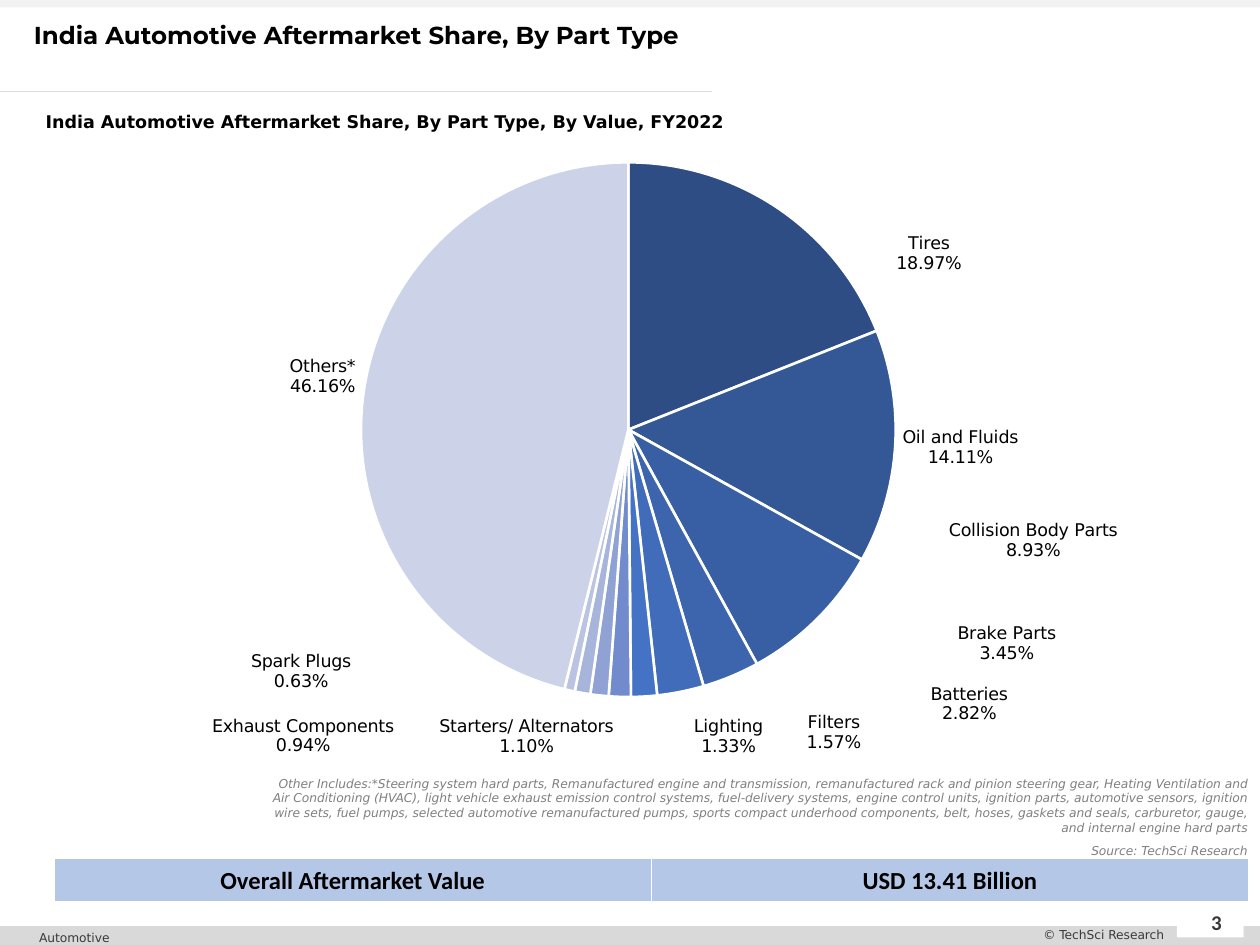
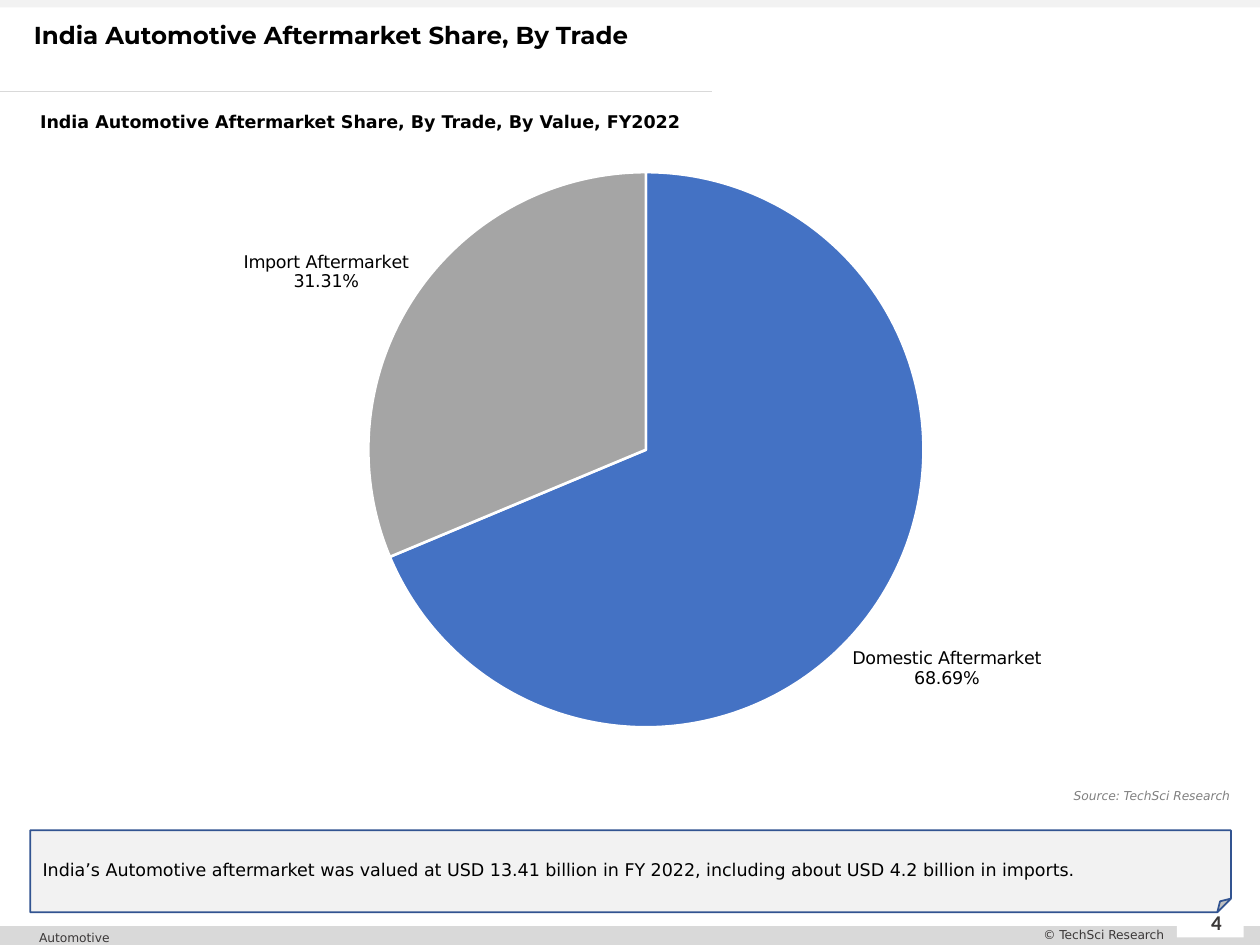
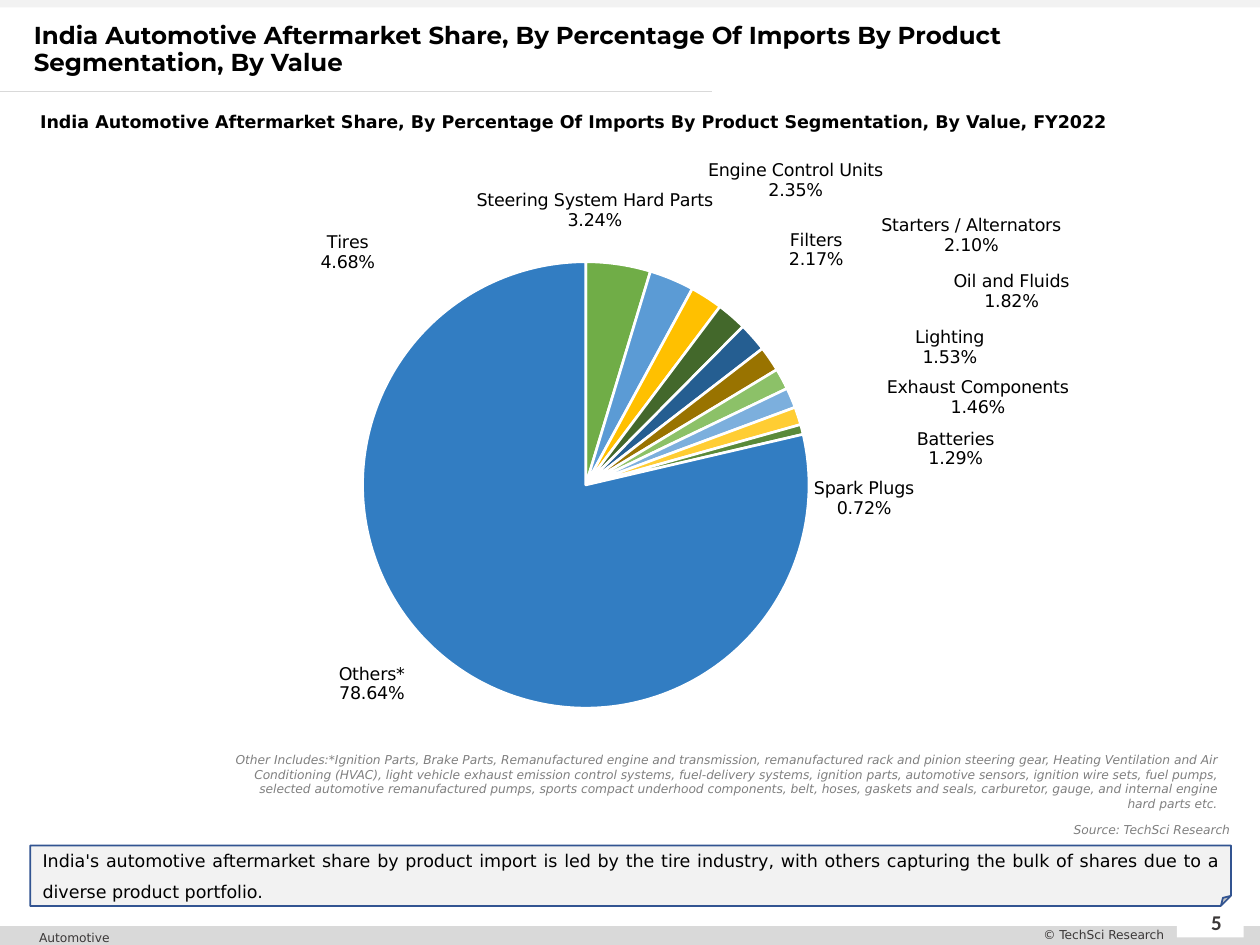
import copy
from dataclasses import dataclass

import lxml.etree
import pptx
import pptx.chart.data
import pptx.dml.color
import pptx.enum.chart
import pptx.enum.shapes
import pptx.enum.text
import pptx.oxml
import pptx.oxml.ns
import pptx.util

ALIGN = pptx.enum.text.PP_ALIGN
ANCHOR = pptx.enum.text.MSO_ANCHOR
SHAPE = pptx.enum.shapes.MSO_SHAPE
qn = pptx.oxml.ns.qn


@dataclass(frozen=True)
class Theme:
    heading_font: str = "Montserrat"
    body_font: str = "DejaVu Sans"
    number_font: str = "Calibri"
    title_size: int = 14
    number_size: int = 12
    body_size: int = 10
    small_size: int = 7
    black: str = "000000"
    white: str = "FFFFFF"
    note_grey: str = "808080"
    footer_text: str = "3B3838"
    band: str = "D9D9D9"
    pale: str = "F2F2F2"
    callout_line: str = "325491"
    table_fill: str = "B4C7E7"


THEME = Theme()

# The slide is a grid of 100 columns by 75 rows
SLIDE_WIDTH, SLIDE_HEIGHT = pptx.util.Inches(10), pptx.util.Inches(7.5)
COLUMNS, ROWS = 100, 75

SOURCE = "Source: TechSci Research"

PART_SHARES = [
    ("Tires", 18.97), ("Oil and Fluids", 14.11), ("Collision Body Parts", 8.93),
    ("Brake Parts", 3.45), ("Batteries", 2.82), ("Filters", 1.57),
    ("Lighting", 1.33), ("Starters/ Alternators", 1.1),
    ("Exhaust Components", 0.94), ("Spark Plugs", 0.63), ("Others*", 46.16),
]
PART_COLOURS = ["2E4D85", "345795", "385FA3", "3C65AE", "406CB9", "4472C4",
                "718BCC", "90A2D3", "A8B5DB", "BAC4E2", "CCD3E9"]
# Label moves are percentages of the chart's width and height
PART_LABEL_MOVES = {
    0: (11.5, 11.2), 2: (12.8, -16.3), 3: (22.6, -9.4), 4: (25.1, -2.3),
    5: (19.1, 1.4), 6: (11, 2), 7: (1.5, 2.2), 8: (-18.9, 2.5), 9: (-21.9, -7.2),
}

TRADE_SHARES = [("Domestic Aftermarket", 68.69), ("Import Aftermarket", 31.31)]
TRADE_COLOURS = ["4472C4", "A5A5A5"]
TRADE_LABEL_MOVES = {0: (-3, 6.1)}

IMPORT_SHARES = [
    ("Tires", 4.68), ("Steering System Hard Parts", 3.24),
    ("Engine Control Units", 2.35), ("Filters", 2.17),
    ("Starters / Alternators", 2.1), ("Oil and Fluids", 1.82),
    ("Lighting", 1.53), ("Exhaust Components", 1.46), ("Batteries", 1.29),
    ("Spark Plugs", 0.72), ("Others*", 78.64),
]
IMPORT_COLOURS = ["70AD47", "5B9BD5", "FFC000", "43682B", "255E91", "997300",
                  "8CC168", "7CAFDD", "FFCD33", "5A8A39", "327DC2"]
IMPORT_LABEL_MOVES = {
    0: (-24.6, 2.6), 1: (-16.3, -7), 2: (-0.2, -15.1), 3: (4.3, -6.8),
    4: (10.1, -12.9), 5: (14.6, -7.3), 6: (10.4, -1.4), 7: (7.3, 3.7),
    8: (9.2, 9.2), 9: (0.4, 15.2), 10: (-3.1, -0.2),
}

PART_NOTE = (
    "Other Includes:*Steering system hard parts, Remanufactured engine and "
    "transmission, remanufactured rack and pinion steering gear, Heating "
    "Ventilation and Air Conditioning (HVAC), light vehicle exhaust emission "
    "control systems, fuel-delivery systems, engine control units, ignition "
    "parts, automotive sensors, ignition wire sets, fuel pumps, selected "
    "automotive remanufactured pumps, sports compact underhood components, "
    "belt, hoses, gaskets and seals, carburetor, gauge, and internal engine "
    "hard parts")
IMPORT_NOTE = (
    "Other Includes:*Ignition Parts, Brake Parts, Remanufactured engine and "
    "transmission, remanufactured rack and pinion steering gear, Heating "
    "Ventilation and Air Conditioning (HVAC), light vehicle exhaust emission "
    "control systems, fuel-delivery systems, ignition parts, automotive "
    "sensors, ignition wire sets, fuel pumps, selected automotive "
    "remanufactured pumps, sports compact underhood components, belt, hoses, "
    "gaskets and seals, carburetor, gauge, and internal engine hard parts etc.")


# Basic helpers
def rgb(colour):
    return pptx.dml.color.RGBColor.from_string(colour)


def across(columns):
    return round(SLIDE_WIDTH * columns / COLUMNS)


def down(rows):
    return round(SLIDE_HEIGHT * rows / ROWS)


def place(left, top, width, height):
    return across(left), down(top), across(width), down(height)


def style_font(font, size, name=THEME.body_font, colour=THEME.black,
               bold=False, italic=False):
    font.size = pptx.util.Pt(size)
    font.name = name
    font.color.rgb = rgb(colour)
    font.bold = bold
    font.italic = italic


def write(frame, text, size, align=ALIGN.LEFT, spacing=None, **font):
    paragraph = frame.paragraphs[0]
    paragraph.alignment = align
    if spacing is not None:
        paragraph.line_spacing = spacing
    run = paragraph.add_run()
    run.text = text
    style_font(run.font, size, **font)


def add_text(slide, area, text, size, **style):
    frame = slide.shapes.add_textbox(*place(*area)).text_frame
    frame.word_wrap = True
    write(frame, text, size, **style)
    return frame


def add_shape(slide, kind, area, fill, line=None):
    shape = slide.shapes.add_shape(kind, *place(*area))
    shape.shadow.inherit = False
    shape.fill.solid()
    shape.fill.fore_color.rgb = rgb(fill)
    if line:
        shape.line.color.rgb = rgb(line)
        shape.line.width = pptx.util.Pt(1)
    else:
        shape.line.fill.background()
    return shape


# Shared frame of every slide
def add_footer_label(slide, area, text, size, **font):
    frame = add_text(slide, area, text, size, align=ALIGN.CENTER,
                     colour=THEME.footer_text, **font)
    frame.margin_left = frame.margin_right = 0
    frame.margin_top = frame.margin_bottom = 0
    frame.vertical_anchor = ANCHOR.MIDDLE


def add_title_rule(slide):
    rule = slide.shapes.add_connector(
        pptx.enum.shapes.MSO_CONNECTOR.STRAIGHT,
        0, down(7.25), across(56.5), down(7.25))
    rule.line.color.rgb = rgb(THEME.band)
    rule.line.width = pptx.util.Pt(0.5)
    properties = rule._element.find(qn("p:spPr"))
    lxml.etree.SubElement(properties, qn("a:effectLst"))


def add_framed_slide(presentation, number, title, subtitle, subtitle_left=2.2):
    slide = presentation.slides.add_slide(presentation.slide_layouts[6])
    add_shape(slide, SHAPE.RECTANGLE, (0, 73.5, 100, 1.5), THEME.band)
    add_shape(slide, SHAPE.RECTANGLE, (0, 0, 100, 0.6), THEME.pale)
    add_shape(slide, SHAPE.RECTANGLE, (93.4, 72.2, 5.3, 2.2), THEME.white)
    add_title_rule(slide)
    add_footer_label(slide, (94.1, 71.2, 4.9, 4), str(number),
                     THEME.number_size, name=THEME.number_font, bold=True)
    add_footer_label(slide, (81.6, 73.4, 12, 1.6), "© TechSci Research",
                     THEME.small_size)
    add_footer_label(slide, (-0.1, 73.6, 12, 1.6), "Automotive",
                     THEME.small_size)
    add_text(slide, (1.7, 1.4, 90.4, 5.7), title, THEME.title_size,
             spacing=0.9, name=THEME.heading_font, bold=True)
    add_text(slide, (subtitle_left, 7.9, 88.6, 2.9), subtitle, THEME.body_size,
             align=ALIGN.JUSTIFY, spacing=pptx.util.Pt(15), bold=True)
    return slide


# Content elements
def add_note(slide, left, top, height, text):
    add_text(slide, (left, top, 80.4, height), text, THEME.small_size,
             align=ALIGN.RIGHT, colour=THEME.note_grey, italic=True)


def add_callout(slide, top, height, text):
    shape = add_shape(slide, SHAPE.FOLDED_CORNER, (2.4, top, 95.3, height),
                      THEME.pale, THEME.callout_line)
    frame = shape.text_frame
    frame.word_wrap = True
    frame.vertical_anchor = ANCHOR.MIDDLE
    write(frame, text, THEME.body_size, align=ALIGN.JUSTIFY, spacing=1.5)


def manual_layout(values):
    layout = pptx.oxml.parse_xml(
        f'<c:layout {pptx.oxml.ns.nsdecls("c")}><c:manualLayout/></c:layout>')
    for tag, value in values.items():
        lxml.etree.SubElement(layout[0], qn(f"c:{tag}"), val=str(value))
    return layout


def set_plot_area(chart, left, top, width, height):
    plot_area = chart._chartSpace.find(".//" + qn("c:plotArea"))
    for layout in plot_area.findall(qn("c:layout")):
        plot_area.remove(layout)
    plot_area.insert(0, manual_layout({
        "layoutTarget": "inner", "xMode": "edge", "yMode": "edge",
        "x": left / 100, "y": top / 100, "w": width / 100, "h": height / 100}))


def move_labels(labels, moves):
    shared = [child for child in labels if child.tag != qn("c:showLeaderLines")]
    for position, (index, (right, below)) in enumerate(moves.items()):
        label = labels.makeelement(qn("c:dLbl"))
        lxml.etree.SubElement(label, qn("c:idx"), val=str(index))
        label.append(manual_layout({"x": right / 100, "y": below / 100}))
        label.extend(copy.deepcopy(child) for child in shared)
        labels.insert(position, label)


def style_labels(plot, moves):
    plot.has_data_labels = True
    labels = plot.series[0].data_labels
    labels.show_value = False
    labels.show_category_name = True
    labels.show_percentage = True
    labels.number_format = "0.00%"
    labels.number_format_is_linked = False
    labels.position = pptx.enum.chart.XL_LABEL_POSITION.OUTSIDE_END
    style_font(labels.font, THEME.body_size)
    element = labels._element
    for leader in element.findall(qn("c:showLeaderLines")):
        element.remove(leader)
    lxml.etree.SubElement(element, qn("c:separator")).text = "\n"
    lxml.etree.SubElement(element, qn("c:showLeaderLines"), val="0")
    move_labels(element, moves)


def add_pie(slide, area, plot_area, shares, colours, moves):
    data = pptx.chart.data.CategoryChartData(number_format="General")
    data.categories = [name for name, _ in shares]
    data.add_series("Series 1", [value for _, value in shares])
    chart = slide.shapes.add_chart(
        pptx.enum.chart.XL_CHART_TYPE.PIE, *place(*area), data).chart
    chart.has_title = False
    chart.has_legend = False
    style_font(chart.font, THEME.body_size)
    plot = chart.plots[0]
    plot.vary_by_categories = True
    for index, colour in enumerate(colours):
        wedge = plot.series[0].points[index].format
        wedge.fill.solid()
        wedge.fill.fore_color.rgb = rgb(colour)
        wedge.line.color.rgb = rgb(THEME.white)
        wedge.line.width = pptx.util.Pt(1.5)
    style_labels(plot, moves)
    set_plot_area(chart, *plot_area)


def set_cell_borders(cell):
    properties = cell._tc.get_or_add_tcPr()
    widths = {"lnL": 1, "lnR": 1, "lnT": 1, "lnB": 3}
    for position, (tag, points) in enumerate(widths.items()):
        line = properties.makeelement(qn(f"a:{tag}"),
                                      w=str(pptx.util.Pt(points)))
        fill = lxml.etree.SubElement(line, qn("a:solidFill"))
        lxml.etree.SubElement(fill, qn("a:srgbClr"), val=THEME.white)
        properties.insert(position, line)


def add_value_table(slide, area, texts):
    table = slide.shapes.add_table(1, len(texts), *place(*area)).table
    for cell, text in zip(table.rows[0].cells, texts):
        cell.fill.solid()
        cell.fill.fore_color.rgb = rgb(THEME.table_fill)
        cell.vertical_anchor = ANCHOR.MIDDLE
        write(cell.text_frame, text, THEME.title_size, align=ALIGN.CENTER,
              name=THEME.number_font, bold=True)
        set_cell_borders(cell)


# Slides
def add_part_type_slide(presentation):
    slide = add_framed_slide(
        presentation, 3, "India Automotive Aftermarket Share, By Part Type",
        "India Automotive Aftermarket Share, By Part Type, By Value, FY2022",
        subtitle_left=2.65)
    add_pie(slide, (13.4, 10.5, 78.6, 50.5), (19.4, 4.6, 54, 84.3),
            PART_SHARES, PART_COLOURS, PART_LABEL_MOVES)
    add_note(slide, 19.6, 61.1, 6.9, PART_NOTE)
    add_note(slide, 19.6, 66.4, 2.2, SOURCE)
    add_value_table(slide, (4.3, 68.1, 94.8, 3.6),
                    ["Overall Aftermarket Value", "USD 13.41 Billion"])


def add_trade_slide(presentation):
    slide = add_framed_slide(
        presentation, 4, "India Automotive Aftermarket Share, By Trade",
        "India Automotive Aftermarket Share, By Trade, By Value, FY2022")
    add_pie(slide, (13.4, 10.5, 81.6, 53.9), (19.4, 4.6, 54, 84.3),
            TRADE_SHARES, TRADE_COLOURS, TRADE_LABEL_MOVES)
    add_note(slide, 18.2, 62.1, 2.2, SOURCE)
    add_callout(slide, 65.9, 6.5,
                "India’s Automotive aftermarket was valued at USD 13.41 billion "
                "in FY 2022, including about USD 4.2 billion in imports.")


def add_imports_slide(presentation):
    title = ("India Automotive Aftermarket Share, By Percentage Of Imports "
             "By Product Segmentation, By Value")
    slide = add_framed_slide(presentation, 5, title, f"{title}, FY2022")
    add_pie(slide, (2.2, 11.8, 96.5, 47.5), (23.3, 18.9, 45.2, 74.6),
            IMPORT_SHARES, IMPORT_COLOURS, IMPORT_LABEL_MOVES)
    add_note(slide, 17.2, 59.2, 6.9, IMPORT_NOTE)
    add_callout(slide, 67.1, 4.8,
                "India's automotive aftermarket share by product import is led "
                "by the tire industry, with others capturing the bulk of shares "
                "due to a diverse product portfolio.")
    add_note(slide, 18.2, 64.8, 2.2, SOURCE)


def main():
    presentation = pptx.Presentation()
    presentation.slide_width = SLIDE_WIDTH
    presentation.slide_height = SLIDE_HEIGHT
    add_part_type_slide(presentation)
    add_trade_slide(presentation)
    add_imports_slide(presentation)
    presentation.save("out.pptx")


if __name__ == "__main__":
    main()
